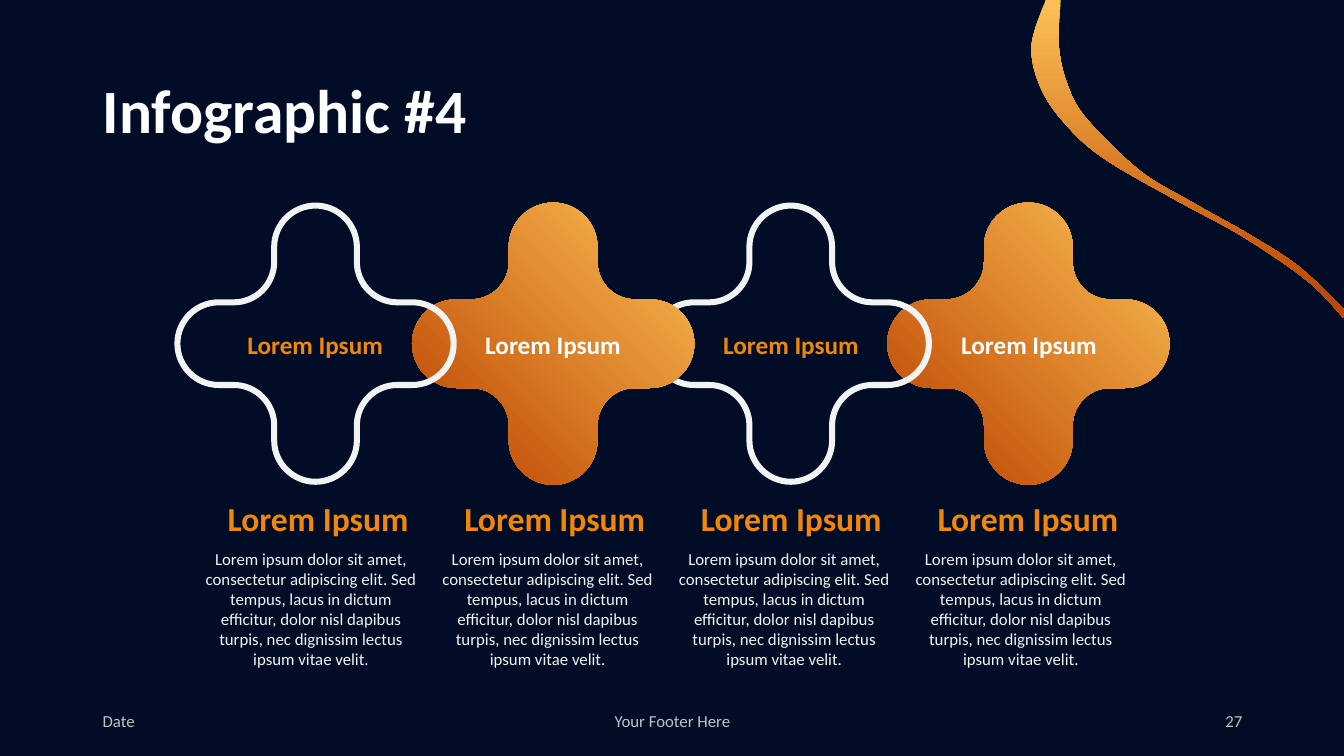
from math import cos, radians, sin

from pptx import Presentation
from pptx.dml.color import RGBColor
from pptx.enum.text import MSO_ANCHOR, MSO_AUTO_SIZE, PP_ALIGN
from pptx.oxml import parse_xml
from pptx.oxml.ns import nsdecls, qn
from pptx.util import Inches, Pt

NAVY = RGBColor(0x01, 0x0D, 0x26)
WHITE = RGBColor(0xFF, 0xFF, 0xFF)
PALE = RGBColor(0xF2, 0xF3, 0xF3)
GREY = RGBColor(0xC0, 0xC4, 0xC1)
ORANGE = RGBColor(0xF2, 0x87, 0x05)
GOLD = RGBColor(0xFC, 0xC1, 0x55)
RUST = RGBColor(0xBF, 0x49, 0x04)

HEAD = "Lorem Ipsum"
BODY = ("Lorem ipsum dolor sit amet, consectetur adipiscing elit. Sed tempus, "
        "lacus in dictum efficitur, dolor nisl dapibus turpis, nec dignissim "
        "lectus ipsum vitae velit.")
COUNT = 4

UPPER = [(13.33, 3.07), (12.9, 2.66), (12.43, 2.35), (11.81, 2), (11.3, 1.69),
         (10.77, 1.17), (10.58, 0.82), (10.5, 0.44), (10.52, 0)]
LOWER = [(10.37, 0), (10.23, 0.47), (10.34, 0.91), (10.62, 1.29), (10.99, 1.6),
         (11.69, 2), (12.33, 2.35), (12.97, 2.79), (13.33, 3.16)]


def write(frame, text, size, color, align=PP_ALIGN.LEFT, anchor=MSO_ANCHOR.MIDDLE,
          bold=False, inset=0.1, fit=MSO_AUTO_SIZE.NONE):
    side = Inches(inset)
    layout = {"word_wrap": True, "auto_size": fit, "vertical_anchor": anchor,
              "margin_left": side, "margin_right": side,
              "margin_top": Inches(0.05), "margin_bottom": Inches(0.05)}
    for name, value in layout.items():
        setattr(frame, name, value)
    line = frame.paragraphs[0]
    line.alignment = align
    run = line.add_run()
    run.text = text
    for name, value in {"name": "Calibri", "size": Pt(size), "bold": bold}.items():
        setattr(run.font, name, value)
    run.font.color.rgb = color


def add_text(slide, box, text, size, color, **style):
    shape = slide.shapes.add_textbox(*map(Inches, box))
    write(shape.text_frame, text, size, color, **style)


def bend(shape):
    lines = list(shape.element.iter(qn("a:lnTo")))
    for trio in zip(lines[::3], lines[1::3], lines[2::3]):
        curve = parse_xml(f"<a:cubicBezTo {nsdecls('a')}/>")
        trio[0].addprevious(curve)
        for line in trio:
            curve.append(line[0])
            line.getparent().remove(line)


def draw(slide, *loops):
    loops = [[(Inches(x), Inches(y)) for x, y in loop] for loop in loops]
    pen = slide.shapes.build_freeform(*loops[0][0])
    pen.add_line_segments(loops[0][1:], close=True)
    for loop in loops[1:]:
        pen.move_to(*loop[0])
        pen.add_line_segments(loop[1:], close=True)
    shape = pen.convert_to_shape()
    bend(shape)
    shape.shadow.inherit = False
    shape.line.fill.background()
    return shape


def shade(shape, angle):
    shape.fill.gradient()
    shape.fill.gradient_angle = 360 - angle
    for stop, color, place in zip(shape.fill.gradient_stops, (GOLD, RUST), (0, 0.92)):
        stop.color.rgb = color
        stop.position = place


def smooth(knots):
    ends = [knots[0], *knots, knots[-1]]
    curve = [knots[0]]
    for (ax, ay), (bx, by), (cx, cy), (dx, dy) in zip(ends, ends[1:], ends[2:], ends[3:]):
        curve += [(bx + (cx - ax) / 6, by + (cy - ay) / 6),
                  (cx - (dx - bx) / 6, cy - (dy - by) / 6), (cx, cy)]
    return curve


def join(parts):
    points = list(parts[0])
    for part in parts[1:]:
        points += [points[-1], part[0], *part]
    return points


def arc(x, y, radius, start, turns):
    points = []
    for turn in turns:
        a, b = radians(start), radians(start + turn)
        pull = 0.55 if turn > 0 else -0.55
        points += [(cos(a), sin(a)),
                   (cos(a) - pull * sin(a), sin(a) + pull * cos(a)),
                   (cos(b) + pull * sin(b), sin(b) - pull * cos(b))]
        start += turn
    points.append((cos(b), sin(b)))
    return [(x + radius * px, y + radius * py) for px, py in points]


def cross(x, y, inset=0):
    arm = (arc(0.96, 0, 0.44 - inset, -90, (90, 90)),
           arc(0.81, 0.81, 0.37 + inset, -90, (-90,)))
    return join([[(x + c * px - s * py, y + s * px + c * py) for px, py in part]
                 for c, s in ((1, 0), (0, 1), (-1, 0), (0, -1)) for part in arm])


def add_chain(slide, left, top, width, height):
    radius = height / 2
    y = top + radius
    step = (width - height) / (COUNT - 1)
    for i in reversed(range(COUNT)):
        x = left + radius + i * step
        if i % 2:
            shade(draw(slide, cross(x, y)), 135)
        else:
            ring = draw(slide, cross(x, y), cross(x, y, 0.06)[::-1])
            ring.fill.solid()
            ring.fill.fore_color.rgb = PALE
    for i in range(COUNT):
        add_text(slide, (left + 0.42 + i * 2.36, top + 1.21, 1.95, 0.4), HEAD, 18,
                 WHITE if i % 2 else ORANGE, align=PP_ALIGN.CENTER, bold=True,
                 inset=0, fit=MSO_AUTO_SIZE.SHAPE_TO_FIT_TEXT)


def add_notes(slide, left, top, width, height):
    style = {"align": PP_ALIGN.CENTER, "inset": 0,
             "fit": MSO_AUTO_SIZE.SHAPE_TO_FIT_TEXT}
    step = (width - 2.25) / (COUNT - 1)
    for i in range(COUNT):
        x = left + i * step
        add_text(slide, (x, top, 2.25, 0.5), HEAD, 24, ORANGE,
                 anchor=MSO_ANCHOR.BOTTOM, bold=True, **style)
        add_text(slide, (x, top + 0.5, 2.11, height - 0.5), BODY, 12, PALE,
                 anchor=MSO_ANCHOR.TOP, **style)


def add_title(slide, left, top, width, height):
    title = slide.shapes.title
    place = {"left": left, "top": top, "width": width, "height": height}
    for name, value in place.items():
        setattr(title, name, Inches(value))
    write(title.text_frame, "Infographic #4", 44, WHITE, bold=True)
    title.text_frame.paragraphs[0].line_spacing = 0.9


def add_foot(slide, left, top, width, height):
    parts = [("Date", 0, 3, PP_ALIGN.LEFT),
             ("Your Footer Here", (width - 4.5) / 2, 4.5, PP_ALIGN.CENTER),
             ("27", width - 3, 3, PP_ALIGN.RIGHT)]
    for text, shift, span, align in parts:
        add_text(slide, (left + shift, top, span, height), text, 12, GREY, align=align)


def main():
    deck = Presentation()
    deck.slide_width = Inches(13.33)
    deck.slide_height = Inches(7.5)
    slide = deck.slides.add_slide(deck.slide_layouts[5])
    slide.background.fill.solid()
    slide.background.fill.fore_color.rgb = NAVY
    shade(draw(slide, join([smooth(UPPER), smooth(LOWER)])), 90)
    add_chain(slide, 1.73, 2.01, 9.87, 2.8)
    add_title(slide, 0.92, 0.4, 11.5, 1.45)
    add_notes(slide, 2.03, 4.89, 9.29, 1.81)
    add_foot(slide, 0.92, 6.95, 11.5, 0.4)
    deck.save("out.pptx")


if __name__ == "__main__":
    main()
